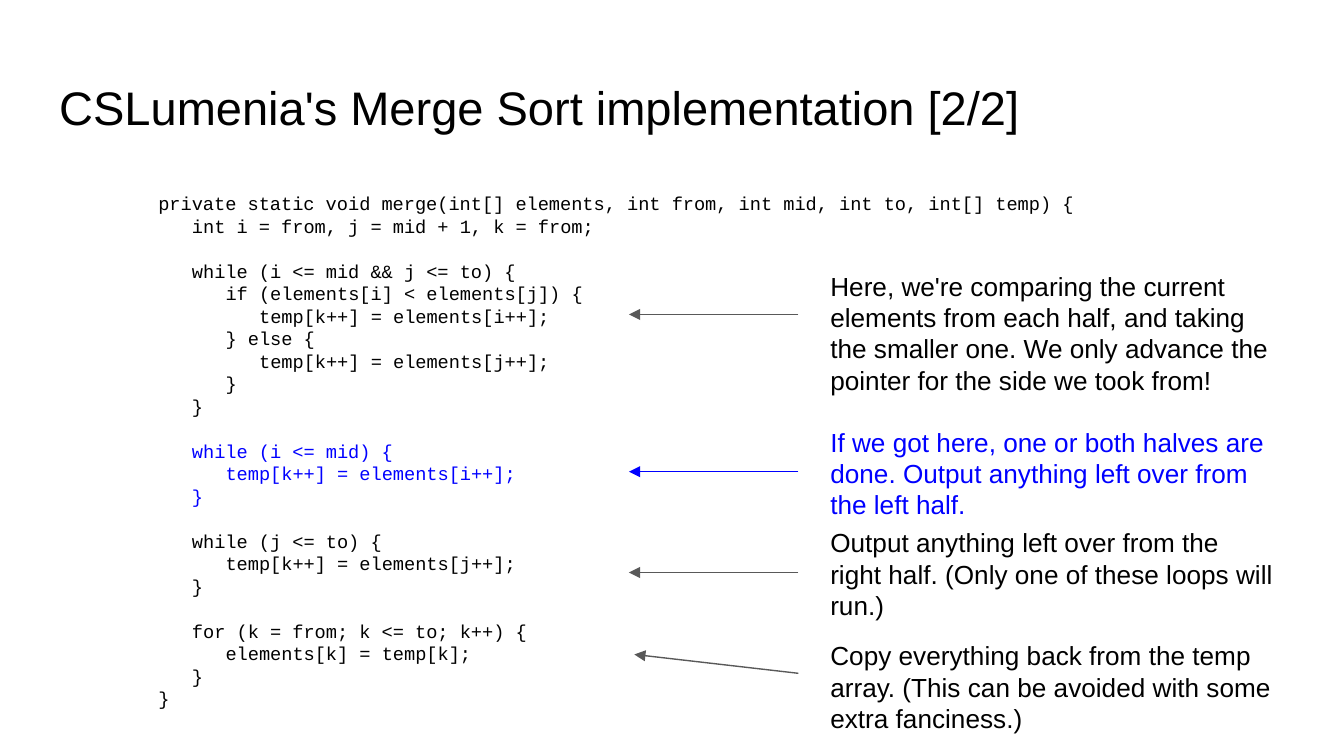
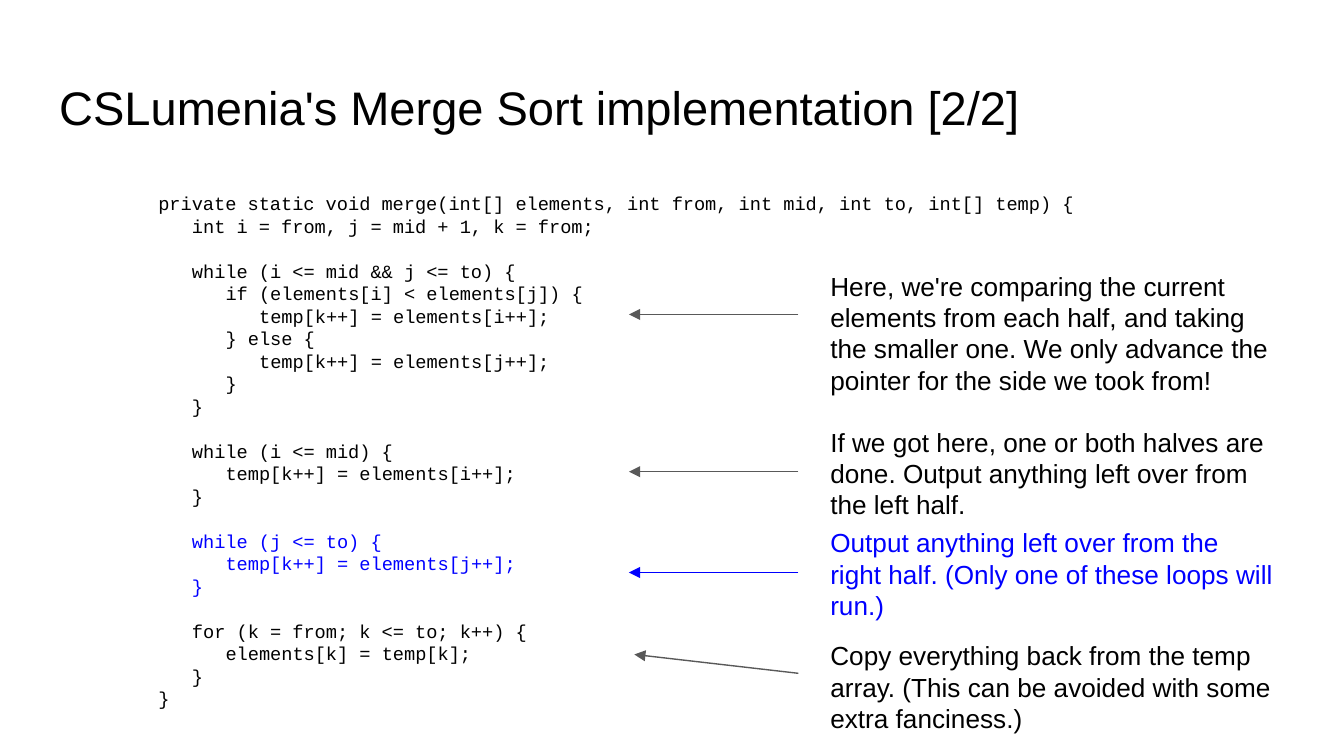
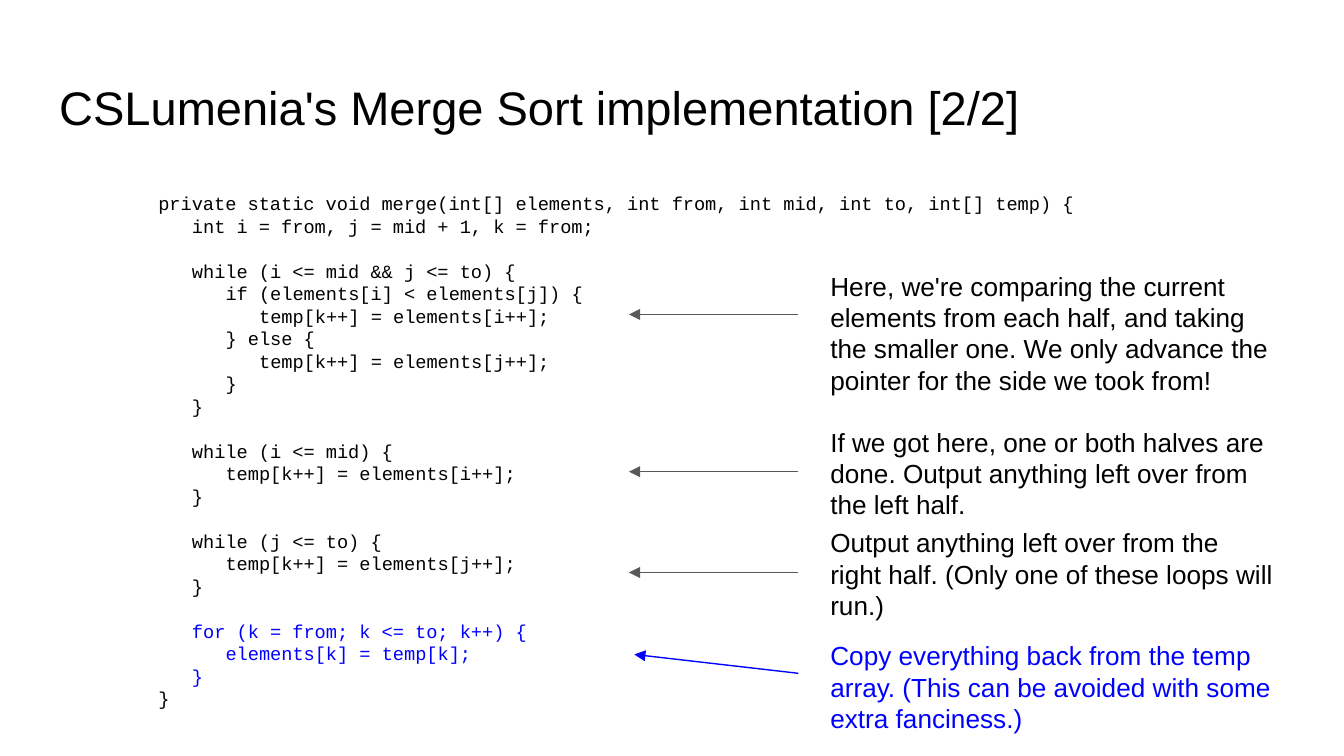
import pptx
import pptx.dml.color
import pptx.enum.shapes
import pptx.enum.text
import pptx.oxml.ns
import pptx.util
import lxml.etree

PX = 4572  # 200 px to the inch
Pt = pptx.util.Pt
RGB = pptx.dml.color.RGBColor.from_string
FIT = pptx.enum.text.MSO_AUTO_SIZE

THEME = {
    "ink": RGB("000000"),
    "hot": RGB("0000FF"),
    "arrow": RGB("595959"),
    "line": Pt(0.75),
    "title": {"name": "Arial", "size": Pt(25.2)},
    "note": {"name": "Arial", "size": Pt(14)},
    "code": {"name": "Courier New", "size": Pt(10)},
    "lead": {"note": Pt(16.8), "code": Pt(12.05)},
}
TITLE = "CSLumenia's Merge Sort implementation [2/2]"
STEP = 50  # indent of one code level, three letters wide

CODE = """\
private static void merge(int[] elements, int from, int mid, int to, int[] temp) {
   int i = from, j = mid + 1, k = from;

   while (i <= mid && j <= to) {
      if (elements[i] < elements[j]) {
         temp[k++] = elements[i++];
      } else {
         temp[k++] = elements[j++];
      }
   }

   while (i <= mid) {
      temp[k++] = elements[i++];
   }

   while (j <= to) {
      temp[k++] = elements[j++];
   }

   for (k = from; k <= to; k++) {
      elements[k] = temp[k];
   }
}"""

# Each note: top, height, arrow from, arrow to, text
NOTES = [
    (382, 228, (1188, 468), (936, 468),
     "Here, we're comparing the current elements from each half, and taking "
     "the smaller one. We only advance the pointer for the side we took from!"),
    (614, 182, (1188, 702), (936, 702),
     "If we got here, one or both halves are done. "
     "Output anything left over from the left half."),
    (764, 182, (1188, 852), (936, 852),
     "Output anything left over from the right half. "
     "(Only one of these loops will run.)"),
    (932, 182, (1188, 1002), (944, 974),
     "Copy everything back from the temp array. "
     "(This can be avoided with some extra fanciness.)"),
]


def place(shape, left, top, width, height, fit):
    """Set the bounds and the frame of a text shape."""
    bounds = {"left": left, "top": top, "width": width, "height": height}
    for key, val in bounds.items():
        setattr(shape, key, val * PX)
    frame = shape.text_frame
    look = {"word_wrap": True, "auto_size": fit,
            "vertical_anchor": pptx.enum.text.MSO_ANCHOR.TOP}
    for side in ("left", "top", "right", "bottom"):
        look["margin_" + side] = 20 * PX
    for key, val in look.items():
        setattr(frame, key, val)
    return frame


def write(para, text, kind, color):
    """Fill a paragraph in one of the theme's type styles."""
    run = para.add_run()
    run.text = text
    for key, val in THEME[kind].items():
        setattr(run.font, key, val)
    run.font.color.rgb = color
    para.alignment = pptx.enum.text.PP_ALIGN.LEFT
    para.line_spacing = THEME["lead"].get(kind)


deck = pptx.Presentation()
deck.slide_width = 2000 * PX
deck.slide_height = 1125 * PX

# One slide for each highlighted block of code
for hot in (2, 3, 4):
    slide = deck.slides.add_slide(deck.slide_layouts[5])
    shapes = slide.shapes

    # Title
    frame = place(shapes.title, 68, 97, 1864, 126, FIT.NONE)
    write(frame.paragraphs[0], TITLE, "title", THEME["ink"])

    # Code, with a line of space before each later block
    box = shapes.add_textbox(0, 0, PX, PX)
    frame = place(box, 166, 266, 1870, 814, FIT.SHAPE_TO_FIT_TEXT)
    para = frame.paragraphs[0]
    for block, chunk in enumerate(CODE.split("\n\n")):
        for row, line in enumerate(chunk.split("\n")):
            if block or row:
                para = frame.add_paragraph()
            text = line.lstrip()
            level = (len(line) - len(text)) // 3
            lit = block == hot and level > 0
            write(para, text, "code", THEME["hot" if lit else "ink"])
            if block and row == 0:
                para.space_before = THEME["lead"]["code"]
            props = para._p.get_or_add_pPr()
            props.set("marL", str((level + 1) * STEP * PX))
            props.set("indent", "0")

    # Notes with their arrows
    for block, (top, height, start, end, text) in enumerate(NOTES, 1):
        lit = block == hot
        link = shapes.add_connector(
            pptx.enum.shapes.MSO_CONNECTOR.STRAIGHT,
            *(val * PX for val in start + end))
        link.line.color.rgb = THEME["hot" if lit else "arrow"]
        link.line.width = THEME["line"]
        tip = lxml.etree.SubElement(
            link.line._get_or_add_ln(), pptx.oxml.ns.qn("a:tailEnd"))
        tip.set("type", "triangle")
        lxml.etree.SubElement(
            link._element.spPr, pptx.oxml.ns.qn("a:effectLst"))

        box = shapes.add_textbox(0, 0, PX, PX)
        frame = place(box, 1216, top, 700, height, FIT.SHAPE_TO_FIT_TEXT)
        write(frame.paragraphs[0], text, "note",
              THEME["hot" if lit else "ink"])

deck.save("out.pptx")
